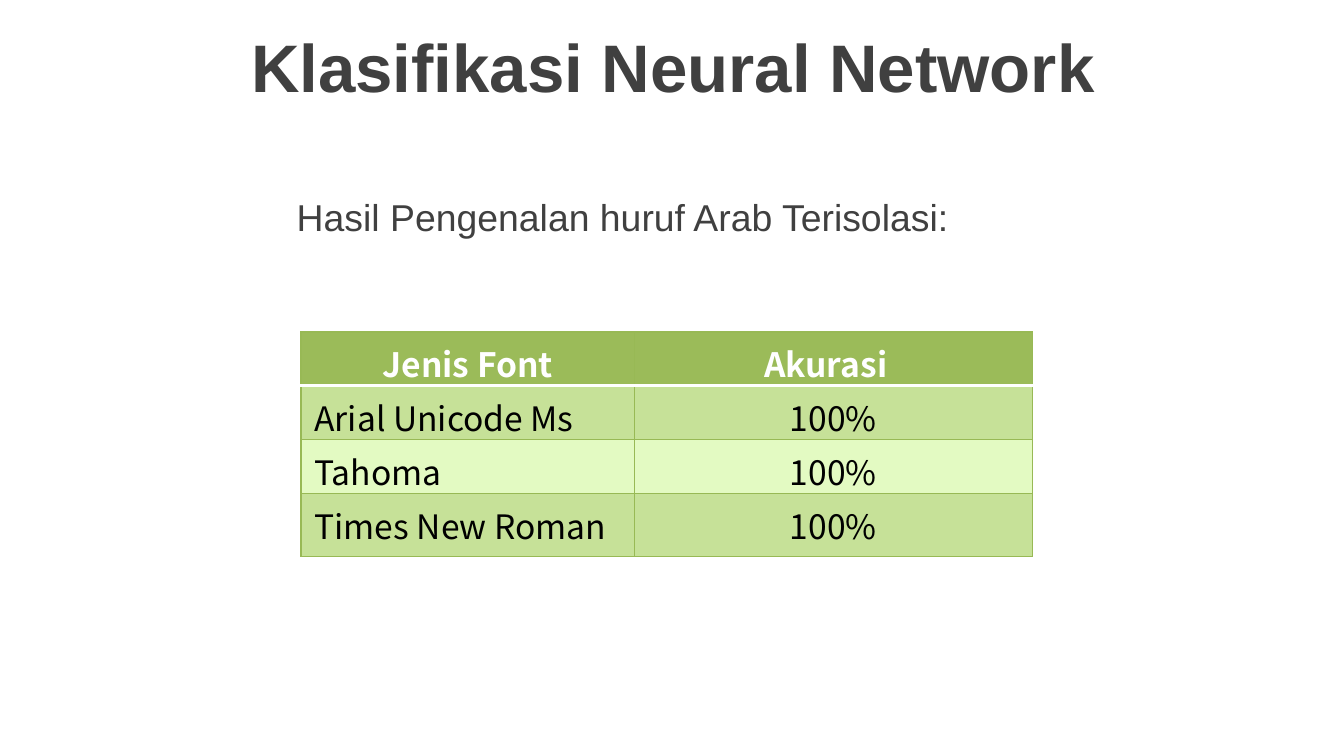
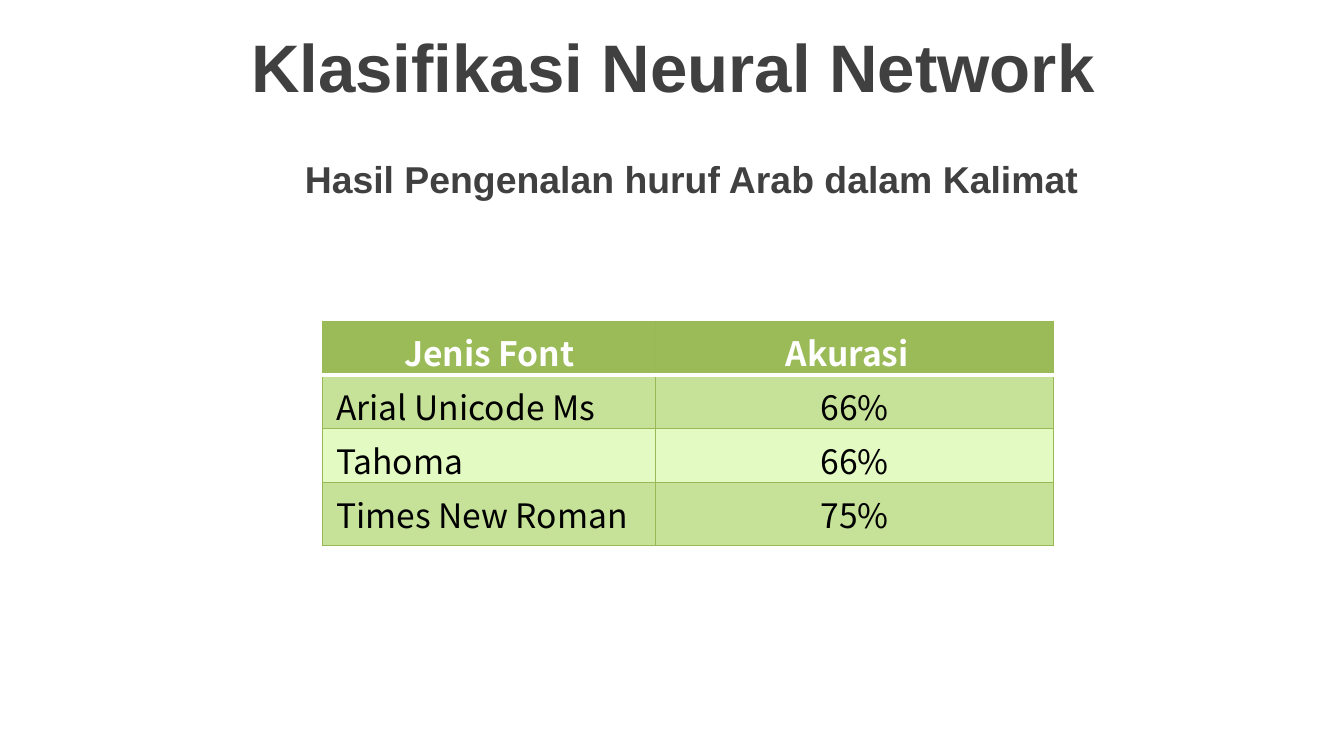
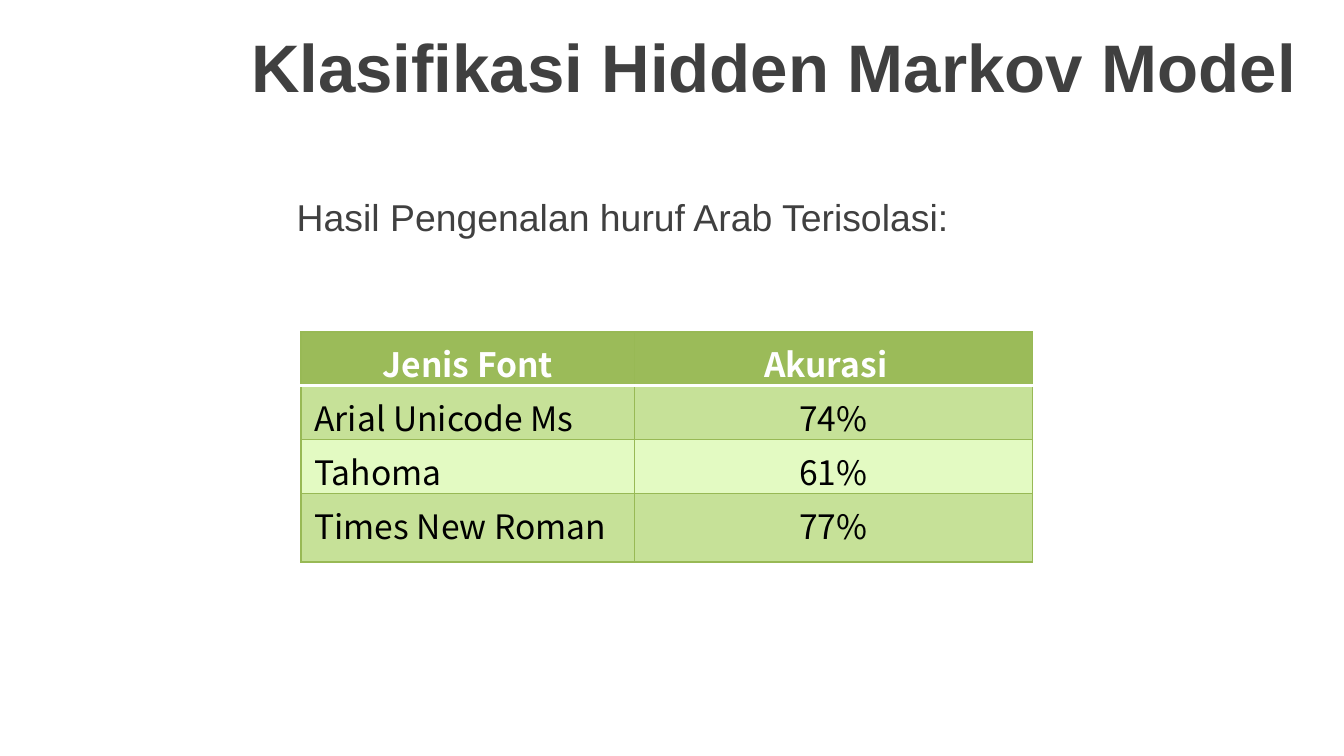
from lxml import etree
from pptx import Presentation
from pptx.dml.color import RGBColor
from pptx.enum.text import MSO_ANCHOR, PP_ALIGN
from pptx.oxml.ns import qn
from pptx.util import Pt

LEFT, CENTER = PP_ALIGN.LEFT, PP_ALIGN.CENTER
MIDDLE = MSO_ANCHOR.MIDDLE

COLORS = {
    "heading": "404040",
    "header": "9BBB59",
    "band": "C6E198",
    "plain": "E3FAC2",
    "border": "98B955",
    "white": "FFFFFF",
    "black": "000000",
}
HEADING_FONT = "Arial"
TABLE_FONT = "Noto Sans CJK KR"
FONT_NAMES = ["Arial Unicode Ms", "Tahoma", "Times New Roman"]
COLUMN_WIDTHS = (178.56, 213.12)


def write(frame, text, *, size, font, color, bold=False, align=LEFT, before=0):
    paragraph = frame.paragraphs[0]
    paragraph.alignment = align
    paragraph.space_before = Pt(before)
    run = paragraph.add_run()
    run.text = text
    run.font.size = Pt(size)
    run.font.name = font
    run.font.bold = bold
    run.font.color.rgb = RGBColor.from_string(COLORS[color])


class Deck:
    def __init__(self):
        self.presentation = Presentation()
        self.presentation.slide_width = Pt(720)
        self.presentation.slide_height = Pt(405)
        self.slide = None

    def new_slide(self):
        blank = self.presentation.slide_layouts[6]
        self.slide = self.presentation.slides.add_slide(blank)

    def text(self, text, left, top, width, height, **style):
        box = self.slide.shapes.add_textbox(Pt(left), Pt(top), Pt(width), Pt(height))
        box.text_frame.word_wrap = True
        box.text_frame.vertical_anchor = MIDDLE
        write(box.text_frame, text, font=HEADING_FONT, color="heading", **style)

    def title(self, text):
        self.text(text, 127.44, 0, 592.56, 69.84, size=36, bold=True)

    def subtitle(self, text, left, top, bold=False):
        self.text(text, left, top, 544.32, 36, size=20, bold=bold, before=4)

    def borders(self, cell, top, bottom):
        sides = {
            "a:lnL": ("border", 0.75),
            "a:lnR": ("border", 0.75),
            "a:lnT": top,
            "a:lnB": bottom,
        }
        properties = cell._tc.get_or_add_tcPr()
        for position, (tag, (color, width)) in enumerate(sides.items()):
            line = etree.Element(qn(tag), w=str(Pt(width)))
            fill = etree.SubElement(line, qn("a:solidFill"))
            etree.SubElement(fill, qn("a:srgbClr"), val=COLORS[color])
            properties.insert(position, line)

    def accuracy_table(self, accuracies, left, top, row_height, last_height):
        rows = [("Jenis Font", "Akurasi"), *zip(FONT_NAMES, accuracies)]
        table = self.slide.shapes.add_table(
            len(rows), 2, Pt(left), Pt(top), Pt(sum(COLUMN_WIDTHS)),
            Pt(row_height * len(rows)),
        ).table
        for column, width in zip(table.columns, COLUMN_WIDTHS):
            column.width = Pt(width)
        for row in table.rows:
            row.height = Pt(row_height)
        table.rows[len(rows) - 1].height = Pt(last_height)

        thin, divider = ("border", 0.75), ("white", 2)
        for r, values in enumerate(rows):
            header = r == 0
            fill = "header" if header else "band" if r % 2 else "plain"
            for c, value in enumerate(values):
                cell = table.cell(r, c)
                cell.fill.solid()
                cell.fill.fore_color.rgb = RGBColor.from_string(COLORS[fill])
                self.borders(
                    cell,
                    top=divider if r == 1 else thin,
                    bottom=divider if header else thin,
                )
                write(
                    cell.text_frame, value, size=18, font=TABLE_FONT, bold=header,
                    color="white" if header else "black",
                    align=CENTER if header or c else LEFT,
                )
        table.cell(0, 1).margin_right = Pt(15.2)


ISOLATED = ("Hasil Pengenalan huruf Arab Terisolasi:", 151.92, 97.92)
SENTENCE = ("Hasil Pengenalan huruf Arab dalam Kalimat", 156.24, 77.76, True)
NEURAL = "Klasifikasi Neural Network"
MARKOV = "Klasifikasi Hidden Markov Model"

RESULTS = [
    (NEURAL, ISOLATED, ("100%", "100%", "100%"), (161.28, 177.84, 27.36, 33.84)),
    (NEURAL, SENTENCE, ("66%", "66%", "75%"), (172.8, 172.08, 27.36, 33.84)),
    (MARKOV, ISOLATED, ("74%", "61%", "77%"), (161.28, 177.84, 25.2, 36.72)),
]

deck = Deck()
for method, subtitle, accuracies, placement in RESULTS:
    deck.new_slide()
    deck.title(method)
    deck.subtitle(*subtitle)
    deck.accuracy_table(accuracies, *placement)
deck.presentation.save("out.pptx")
